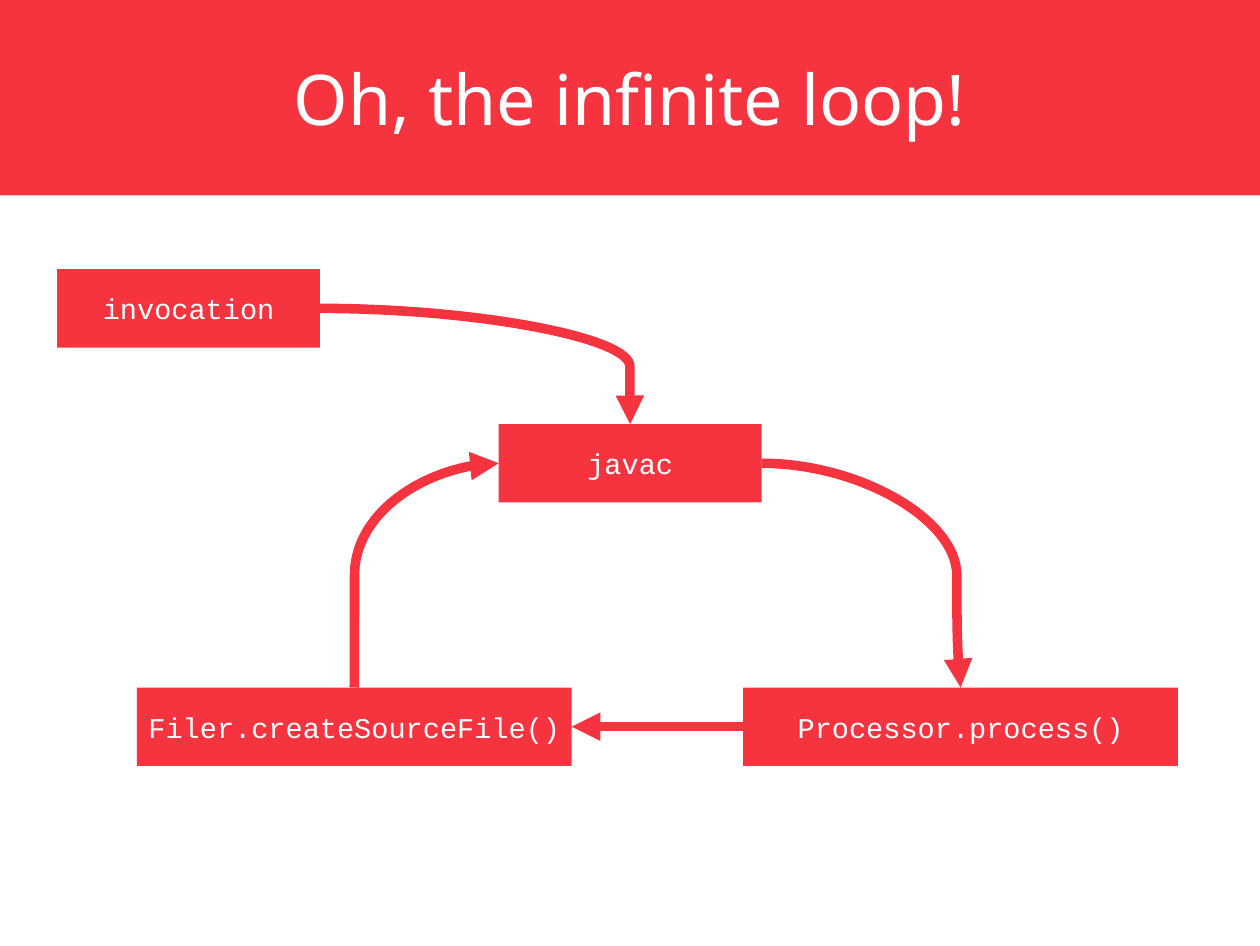
from dataclasses import dataclass

from lxml import etree
from pptx import Presentation
from pptx.dml.color import RGBColor
from pptx.enum.shapes import MSO_CONNECTOR, MSO_SHAPE
from pptx.enum.text import MSO_ANCHOR, PP_ALIGN
from pptx.oxml.ns import qn
from pptx.util import Cm, Pt

RECTANGLE = MSO_SHAPE.RECTANGLE
STRAIGHT, CURVE = MSO_CONNECTOR.STRAIGHT, MSO_CONNECTOR.CURVE
MIDDLE, CENTER = MSO_ANCHOR.MIDDLE, PP_ALIGN.CENTER
TOP, LEFT, BOTTOM, RIGHT = range(4)


@dataclass(frozen=True)
class Theme:
    red: RGBColor = RGBColor(0xF6, 0x34, 0x3F)
    white: RGBColor = RGBColor(0xFF, 0xFF, 0xFF)
    title_font: str = "Noto Sans"
    code_font: str = "Courier New"
    title_size: Pt = Pt(44)
    code_size: Pt = Pt(18)
    arrow_width: Pt = Pt(6)


THEME = Theme()
SLIDE_WIDTH, SLIDE_HEIGHT = Cm(27.99), Cm(21.01)
BANNER_HEIGHT = Cm(4.34)
STEP_HEIGHT = Cm(1.74)
SHORT_STEP, LONG_STEP = Cm(5.84), Cm(9.66)
CALL_ROW = Cm(15.27)


def write(frame, text, *, font, size, color, margins=None):
    frame.word_wrap = False
    frame.vertical_anchor = MIDDLE
    if margins is not None:
        frame.margin_left = frame.margin_right = margins
        frame.margin_top = frame.margin_bottom = margins
    paragraph = frame.paragraphs[0]
    paragraph.alignment = CENTER
    run = paragraph.add_run()
    run.text = text
    run.font.name = font
    run.font.size = size
    run.font.color.rgb = color


def add_red_block(slide, left, top, width, height):
    block = slide.shapes.add_shape(RECTANGLE, left, top, width, height)
    block.shadow.inherit = False
    block.fill.solid()
    block.fill.fore_color.rgb = THEME.red
    block.line.fill.background()
    return block


def add_banner(slide, title):
    banner = add_red_block(slide, 0, 0, SLIDE_WIDTH, BANNER_HEIGHT)
    write(banner.text_frame, title, font=THEME.title_font,
          size=THEME.title_size, color=THEME.white, margins=0)


def add_step(slide, label, left, top, width):
    step = add_red_block(slide, left, top, width, STEP_HEIGHT)
    write(step.text_frame, label, font=THEME.code_font,
          size=THEME.code_size, color=THEME.white)
    return step


def side_middle(step, side):
    across = {LEFT: 0, RIGHT: step.width}.get(side, step.width // 2)
    down = {TOP: 0, BOTTOM: step.height}.get(side, step.height // 2)
    return step.left + across, step.top + down


def add_arrow(slide, source, source_side, target, target_side, bend=None):
    """Straight and joined without a bend; curved, turning at that percentage of the width, with one."""
    arrow = slide.shapes.add_connector(
        STRAIGHT if bend is None else CURVE,
        *side_middle(source, source_side), *side_middle(target, target_side))
    arrow.line.color.rgb = THEME.red
    arrow.line.width = THEME.arrow_width
    properties = arrow.element.spPr
    etree.SubElement(properties.find(qn("a:ln")), qn("a:tailEnd"), type="triangle")
    etree.SubElement(properties, qn("a:effectLst"))
    if bend is None:
        arrow.begin_connect(source, source_side)
        arrow.end_connect(target, target_side)
    else:
        adjustments = properties.find(qn("a:prstGeom")).find(qn("a:avLst"))
        etree.SubElement(adjustments, qn("a:gd"), name="adj1",
                         fmla=f"val {round(bend * 1000)}")


def main():
    deck = Presentation()
    deck.slide_width, deck.slide_height = SLIDE_WIDTH, SLIDE_HEIGHT
    slide = deck.slides.add_slide(deck.slide_layouts[6])

    # Title
    add_banner(slide, "Oh, the infinite loop!")

    # Steps of the loop and its entry
    process = add_step(slide, "Processor.process()", Cm(16.51), CALL_ROW, LONG_STEP)
    create_file = add_step(slide, "Filer.createSourceFile()", Cm(3.04), CALL_ROW, LONG_STEP)
    javac = add_step(slide, "javac", Cm(11.08), Cm(9.42), SHORT_STEP)
    invocation = add_step(slide, "invocation", Cm(1.27), Cm(5.98), SHORT_STEP)

    # Flow
    add_arrow(slide, create_file, TOP, javac, LEFT, bend=0.2)
    add_arrow(slide, javac, RIGHT, process, TOP, bend=98.1)
    add_arrow(slide, process, LEFT, create_file, RIGHT)
    add_arrow(slide, invocation, RIGHT, javac, TOP, bend=99.9)

    deck.save("out.pptx")


if __name__ == "__main__":
    main()
